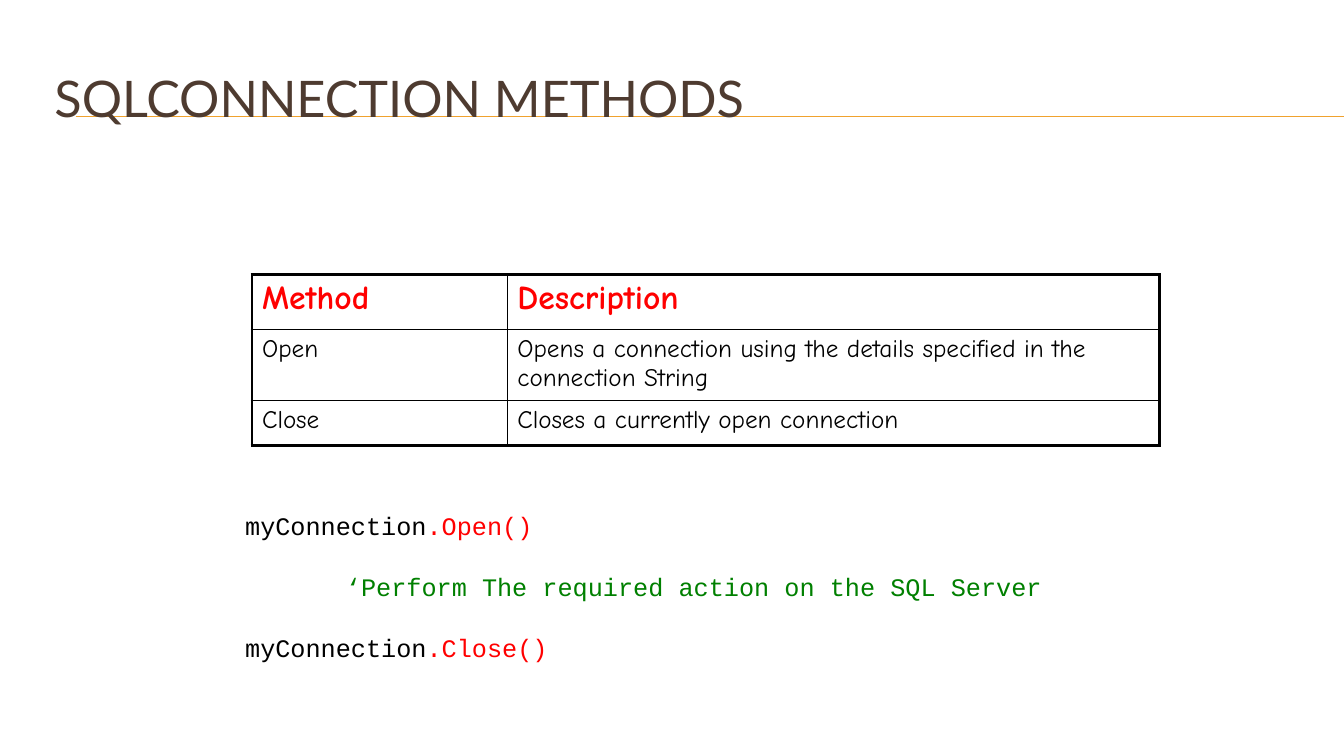
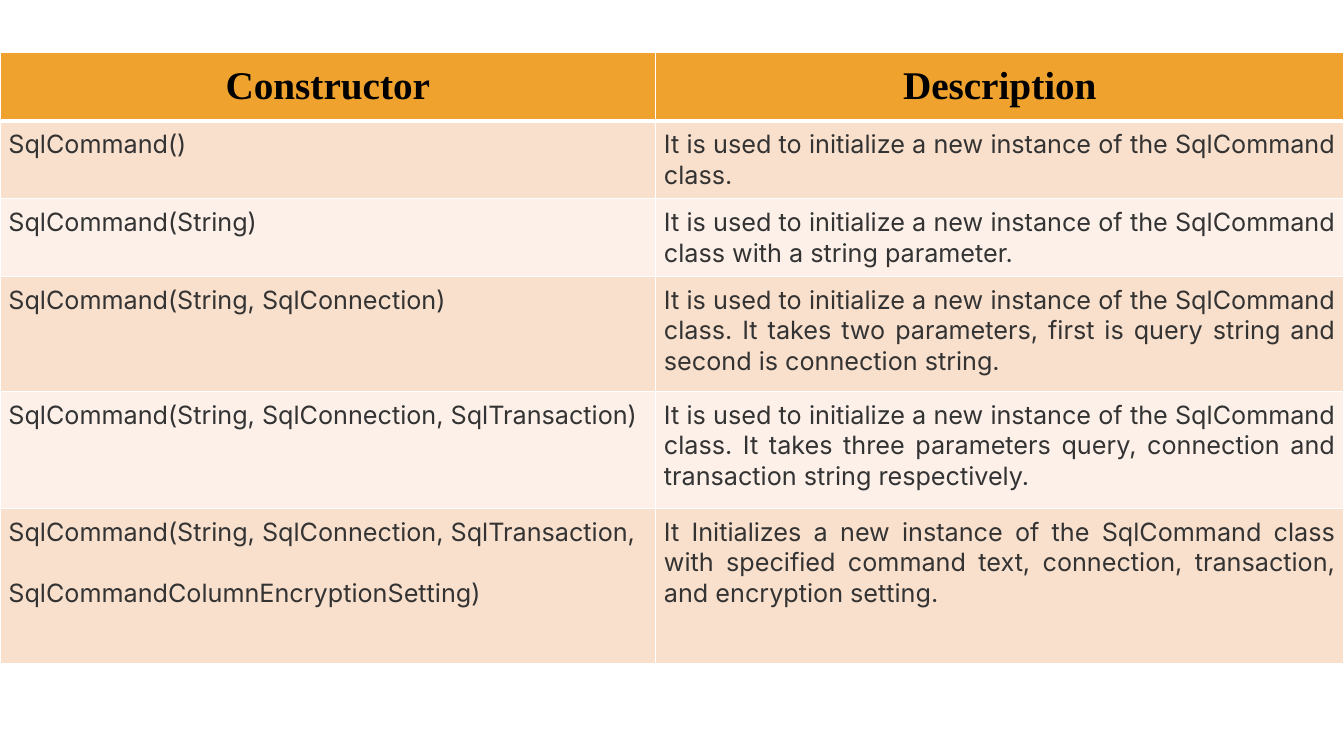
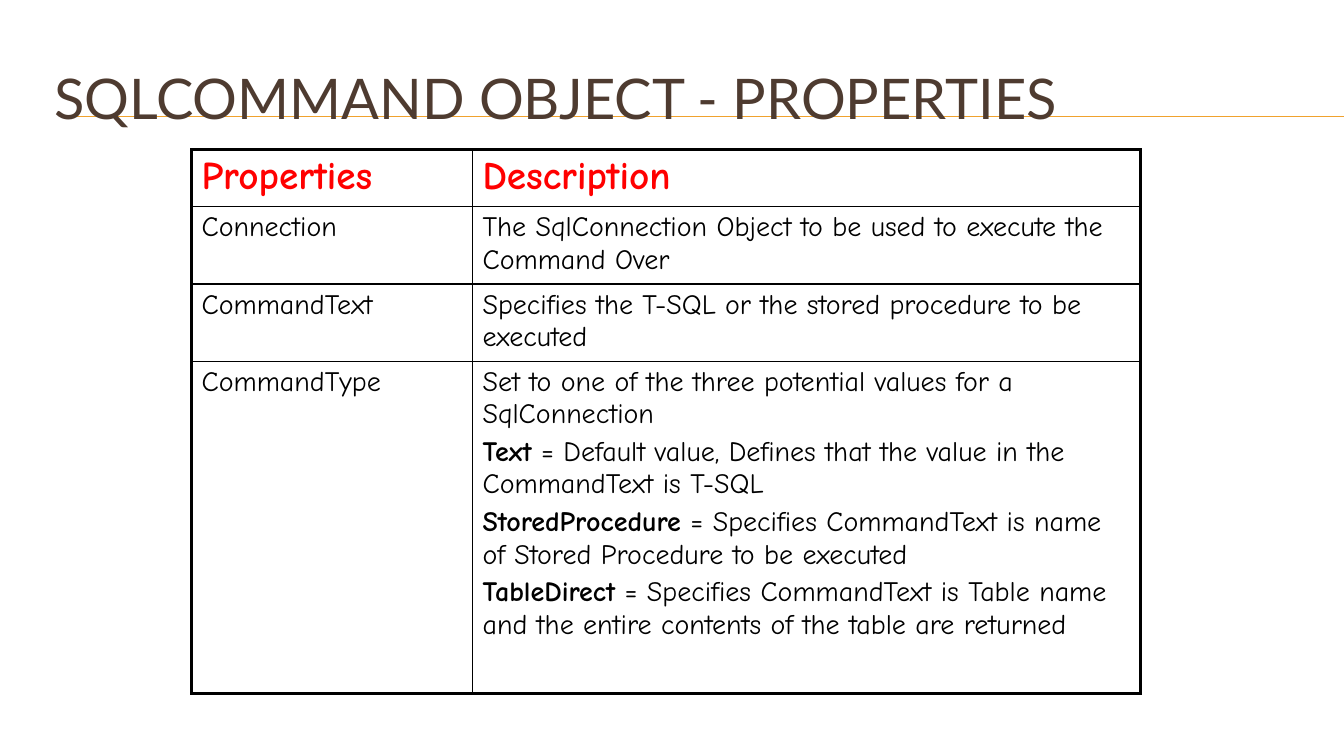
import pptx
import pptx.util
import pptx.dml.color
import pptx.enum.shapes
import pptx.enum.text
import pptx.oxml
import pptx.oxml.ns
import lxml.etree

Pt = pptx.util.Pt
Color = pptx.dml.color.RGBColor
Align = pptx.enum.text.PP_ALIGN
qn = pptx.oxml.ns.qn

# Shared colours and fonts
GOLD = Color(0xF0, 0xA2, 0x2E)
BROWN = Color(0x4E, 0x3B, 0x30)
BLACK = Color(0, 0, 0)
WHITE = Color(0xFF, 0xFF, 0xFF)
RED = Color(0xFF, 0, 0)
GREEN = Color(0, 0x80, 0)
GRAY = Color(0x33, 0x33, 0x33)
PEACH = Color(0xF9, 0xE0, 0xCD)
CREAM = Color(0xFC, 0xF0, 0xE8)
HEAD, COMIC, CODE = "Lato", "Comic Neue", "Courier New"
SERIF, SANS = "Times New Roman", "Inter"

WIDE, HIGH = 960, 540


def add_run(par, text, font, size, color, bold=False):
    run = par.add_run()
    run.text = text
    run.font.name = font
    run.font.size = Pt(size)
    run.font.color.rgb = color
    run.font.bold = bold


def next_par(frame, index):
    return frame.paragraphs[0] if index == 0 else frame.add_paragraph()


def add_rule(deck, left, top):
    """Thin gold line to the right edge, kept on the slide master."""
    rule = deck.slides[0].shapes.add_connector(
        pptx.enum.shapes.MSO_CONNECTOR.STRAIGHT,
        Pt(left), Pt(top), Pt(WIDE), Pt(top))
    rule.line.color.rgb = GOLD
    rule.line.width = Pt(0.75)
    lxml.etree.SubElement(rule._element.spPr, qn("a:effectLst"))
    deck.slide_master.shapes._spTree.insert(2, rule._element)


def titled(deck, text, size):
    """Slide with a title."""
    slide = deck.slides.add_slide(deck.slide_layouts[5])
    title = slide.shapes.title
    title.left, title.top = Pt(31.7), Pt(36.2)
    title.width, title.height = Pt(912), Pt(66.2)
    frame = title.text_frame
    frame.auto_size = pptx.enum.text.MSO_AUTO_SIZE.NONE
    frame.vertical_anchor = pptx.enum.text.MSO_ANCHOR.MIDDLE
    par = frame.paragraphs[0]
    par.alignment = Align.LEFT
    add_run(par, text, HEAD, size, BROWN)
    return slide


def add_edge(cell, side, width, color):
    props = cell._tc.get_or_add_tcPr()
    line = lxml.etree.SubElement(props, qn("a:ln" + side))
    line.set("w", str(int(Pt(width))))
    fill = lxml.etree.SubElement(line, qn("a:solidFill"))
    lxml.etree.SubElement(fill, qn("a:srgbClr")).set("val", str(color))


def add_grid(slide, left, top, cols, highs, rows, head, body, look):
    """Table whose cells hold paragraphs; a (bold, plain) pair is one too."""
    shape = slide.shapes.add_table(
        len(rows), len(cols), Pt(left), Pt(top), Pt(sum(cols)), Pt(sum(highs)))
    table = shape.table
    table.first_row = table.horz_banding = False
    for col, width in zip(table.columns, cols):
        col.width = Pt(width)
    for row, high in zip(table.rows, highs):
        row.height = Pt(high)
    last, end = len(rows) - 1, len(cols) - 1
    outer, inner, under = look["edges"]
    for r, row in enumerate(rows):
        for c, pars in enumerate(row):
            cell = table.cell(r, c)
            # Borders come before the fill in the cell properties
            sides = {
                "L": outer if c == 0 else inner,
                "R": outer if c == end else inner,
                "T": outer if r == 0 else under if r == 1 else inner,
                "B": outer if r == last else under if r == 0 else inner}
            for side, width in sides.items():
                add_edge(cell, side, width, look["line"])
            if look["fills"]:
                cell.fill.solid()
                odd, even = look["fills"]
                cell.fill.fore_color.rgb = (
                    GOLD if r == 0 else odd if r % 2 else even)
            else:
                cell.fill.background()
            padx, pady = look["pads"][min(r, 1)]
            cell.margin_left = cell.margin_right = Pt(padx)
            cell.margin_top = cell.margin_bottom = Pt(pady)
            # Text
            font, size, color = head if r == 0 else body
            for i, text in enumerate([pars] if isinstance(pars, str) else pars):
                par = next_par(cell.text_frame, i)
                par.alignment = look["aligns"][min(r, 1)]
                if i:
                    par.space_before = Pt(look["gap"])
                bold, plain = ("", text) if isinstance(text, str) else text
                if bold:
                    add_run(par, bold, font, size, color, True)
                add_run(par, plain, font, size, color, r == 0)


PLAIN = {"edges": (2.25, 1, 1), "line": BLACK, "fills": None,
         "pads": ((7.2, 3.6), (7.2, 3.6)),
         "aligns": (Align.LEFT, Align.LEFT), "gap": 4}
BANDED = {"edges": (1, 1, 3), "line": WHITE, "fills": (PEACH, CREAM),
          "pads": ((8.6, 8.8), (6, 6)),
          "aligns": (Align.CENTER, Align.JUSTIFY), "gap": 21.8}


def add_code(slide, left, top, width, height, lines):
    """Code lines, each an indent and its coloured parts."""
    box = slide.shapes.add_textbox(Pt(left), Pt(top), Pt(width), Pt(height))
    frame = box.text_frame
    frame.word_wrap = True
    for i, (indent, parts) in enumerate(lines):
        par = next_par(frame, i)
        par._p.get_or_add_pPr().set("marL", str(int(Pt(indent))))
        if i:
            par.space_before = Pt(22)
        for text, color in parts:
            add_run(par, text, CODE, 18, color)


def methods(deck):
    slide = titled(deck, "SQLCONNECTION METHODS", 36)
    rows = [
        ("Method", "Description"),
        ("Open", "Opens a connection using the details specified in the "
                 "connection String"),
        ("Close", "Closes a currently open connection")]
    add_grid(slide, 180, 196, (182.4, 465.6), (39.6, 50.6, 32), rows,
             (COMIC, 24, RED), (COMIC, 18, BLACK), PLAIN)
    add_code(slide, 168, 361, 672, 137, [
        (0, [("myConnection", BLACK), (".Open()", RED)]),
        (72, [("‘Perform The required action on the SQL Server", GREEN)]),
        (0, [("myConnection", BLACK), (".Close()", RED)])])


def makers(deck):
    slide = deck.slides.add_slide(deck.slide_layouts[6])
    start = "It is used to initialize a new instance of the SqlCommand class"
    rows = [
        ("Constructor", "Description"),
        ("SqlCommand()", start + "."),
        ("SqlCommand(String)", start + " with a string parameter."),
        ("SqlCommand(String, SqlConnection)",
         start + ". It takes two parameters, first is query string and "
         "second is connection string."),
        ("SqlCommand(String, SqlConnection, SqlTransaction)",
         start + ". It takes three parameters query, connection and "
         "transaction string respectively."),
        (["SqlCommand(String, SqlConnection, SqlTransaction,",
          "SqlCommandColumnEncryptionSetting)"],
         "It Initializes a new instance of the SqlCommand class with "
         "specified command text, connection, transaction, and encryption "
         "setting.")]
    add_grid(slide, 0, 37.5, (468.3, 491.7), (49, 55.6, 55.6, 82, 83.6, 110.8),
             rows, (SERIF, 28, BLACK), (SANS, 18, GRAY), BANDED)


def traits(deck):
    slide = titled(deck, "SQLCOMMAND OBJECT - PROPERTIES", 40)
    rows = [
        ("Properties", "Description"),
        ("Connection",
         "The SqlConnection Object to be used to execute the Command Over"),
        ("CommandText",
         "Specifies the T-SQL or the stored procedure to be executed"),
        ("CommandType", [
            "Set to one of the three potential values for a SqlConnection",
            ("Text", " = Default value, Defines that the value in the "
                     "CommandText is T-SQL"),
            ("StoredProcedure", " = Specifies CommandText is name of Stored "
                                "Procedure to be executed"),
            ("TableDirect", " = Specifies CommandText is Table name and the "
                            "entire contents of the table are returned")])]
    add_grid(slide, 136.8, 106.7, (200.7, 477.3), (40.9, 55.3, 55.3, 237),
             rows, (COMIC, 28, RED), (COMIC, 20, BLACK), PLAIN)


def main():
    deck = pptx.Presentation()
    deck.slide_width, deck.slide_height = Pt(WIDE), Pt(HIGH)
    for build in (methods, makers, traits):
        build(deck)
    for top in (83, 83.5):
        add_rule(deck, 54, top)
    deck.save("out.pptx")


if __name__ == "__main__":
    main()
